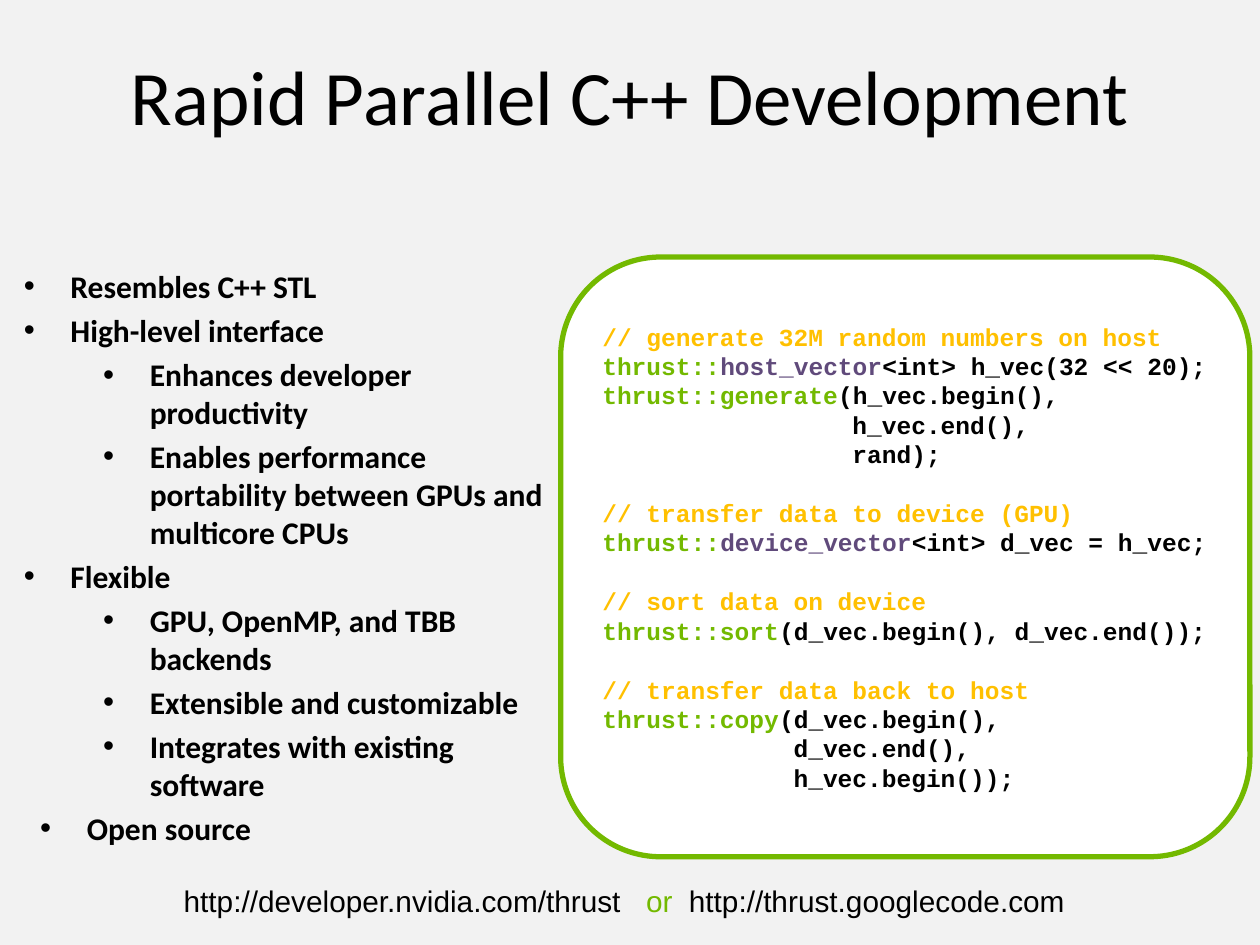
from lxml import etree
from pptx import Presentation
from pptx.dml.color import RGBColor
from pptx.enum.shapes import MSO_SHAPE
from pptx.enum.text import MSO_ANCHOR, PP_ALIGN
from pptx.oxml.ns import qn
from pptx.util import Inches, Pt

ROUNDED = MSO_SHAPE.ROUNDED_RECTANGLE
MIDDLE = MSO_ANCHOR.MIDDLE
LEFT, CENTER = PP_ALIGN.LEFT, PP_ALIGN.CENTER

COLORS = {
    "background": "F2F2F2",
    "panel": "FFFFFF",
    "text": "000000",
    "green": "73B900",
    "comment": "FFC000",
    "type": "604A7B",
}


def rgb(name):
    return RGBColor.from_string(COLORS[name])


def add_run(p, text, size, font, color="text", bold=False):
    r = p.add_run()
    r.text = text
    r.font.size = Pt(size)
    r.font.name = font
    r.font.bold = bold
    r.font.color.rgb = rgb(color)


prs = Presentation()
prs.slide_width, prs.slide_height = Inches(10), Inches(7.5)
s = prs.slides.add_slide(prs.slide_layouts[5])
s.background.fill.solid()
s.background.fill.fore_color.rgb = rgb("background")

# Title
title = s.shapes.title
title.left, title.top = Inches(0.5), Inches(0.13)
title.width, title.height = Inches(9), Inches(1.25)
tf = title.text_frame
tf.vertical_anchor = MIDDLE
p = tf.paragraphs[0]
p.alignment = CENTER
add_run(p, "Rapid Parallel C++ Development", 44, "Calibri")

# Code panel: each block is a list of lines, each line a list of colored parts
code_blocks = [
    [
        [("// generate 32M random numbers on host", "comment")],
        [("thrust::", "green"), ("host_vector", "type"),
         ("<int> h_vec(32 << 20);", "text")],
        [("thrust::generate", "green"), ("(h_vec.begin(),", "text")],
        [("                 h_vec.end(),", "text")],
        [("                 rand);", "text")],
    ],
    [
        [("// transfer data to device (GPU)", "comment")],
        [("thrust::", "green"), ("device_vector", "type"),
         ("<int> d_vec = h_vec;", "text")],
    ],
    [
        [("// sort data on device", "comment")],
        [("thrust::sort", "green"),
         ("(d_vec.begin(), d_vec.end());", "text")],
    ],
    [
        [("// transfer data back to host", "comment")],
        [("thrust::copy", "green"), ("(d_vec.begin(),", "text")],
        [("             d_vec.end(),", "text")],
        [("             h_vec.begin());", "text")],
    ],
]
sp = s.shapes.add_shape(ROUNDED, Inches(4.45), Inches(2.04), Inches(5.47), Inches(4.76))
sp.shadow.inherit = False
sp.fill.solid()
sp.fill.fore_color.rgb = rgb("panel")
sp.line.color.rgb = rgb("green")
sp.line.width = Pt(3)
tf = sp.text_frame
tf.word_wrap = True
tf.vertical_anchor = MIDDLE
p = tf.paragraphs[0]
for b, block in enumerate(code_blocks):
    for n, line in enumerate(block):
        if b or n:
            p = tf.add_paragraph()
        p.alignment = LEFT
        p.line_spacing = Pt(16.8)
        if b and n == 0:
            p.space_before = Pt(16.8)
        for text, color in line:
            add_run(p, text, 14, "Courier New", color, bold=True)

# Bullet list: level, left margin in inches, text
bullets = [
    (0, 0.37, "Resembles C++ STL"),
    (0, 0.37, "High-level interface"),
    (1, 1, "Enhances developer productivity"),
    (1, 1, "Enables performance portability between GPUs and multicore CPUs"),
    (0, 0.37, "Flexible"),
    (1, 1, "GPU, OpenMP, and TBB backends"),
    (1, 1, "Extensible and customizable"),
    (1, 1, "Integrates with existing software"),
    (0, 0.5, "Open source"),
]
sp = s.shapes.add_shape(ROUNDED, Inches(-0.14), Inches(2.04), Inches(4.74), Inches(4.76))
sp.shadow.inherit = False
sp.fill.background()
sp.line.fill.background()
tf = sp.text_frame
tf.word_wrap = True
tf.vertical_anchor = MIDDLE
tf.margin_right = 0
for n, (level, margin, text) in enumerate(bullets):
    p = tf.add_paragraph() if n else tf.paragraphs[0]
    p.alignment = LEFT
    p.level = level
    if n:
        p.space_before = Pt(3.6)
    pPr = p._p.get_or_add_pPr()
    pPr.set("marL", str(Inches(margin)))
    pPr.set("indent", str(Inches(-0.37)))
    etree.SubElement(pPr, qn("a:buFont"), typeface="Arial")
    etree.SubElement(pPr, qn("a:buChar"), char="•")
    add_run(p, text, 18, "Calibri", bold=True)

# Web addresses, spaced with tab stops
tf = s.shapes.add_textbox(Inches(1.36), Inches(6.96), Inches(7.27), Inches(0.39)).text_frame
tf.word_wrap = True
p = tf.paragraphs[0]
tabs = etree.SubElement(p._p.get_or_add_pPr(), qn("a:tabLst"))
for stop in (3.67, 4.01):
    etree.SubElement(tabs, qn("a:tab"), pos=str(Inches(stop)), algn="l")
add_run(p, "http://developer.nvidia.com/thrust", 17, "Arial")
add_run(p, "\tor", 17, "Arial", "green")
add_run(p, "\thttp://thrust.googlecode.com", 17, "Arial")

prs.save("out.pptx")
